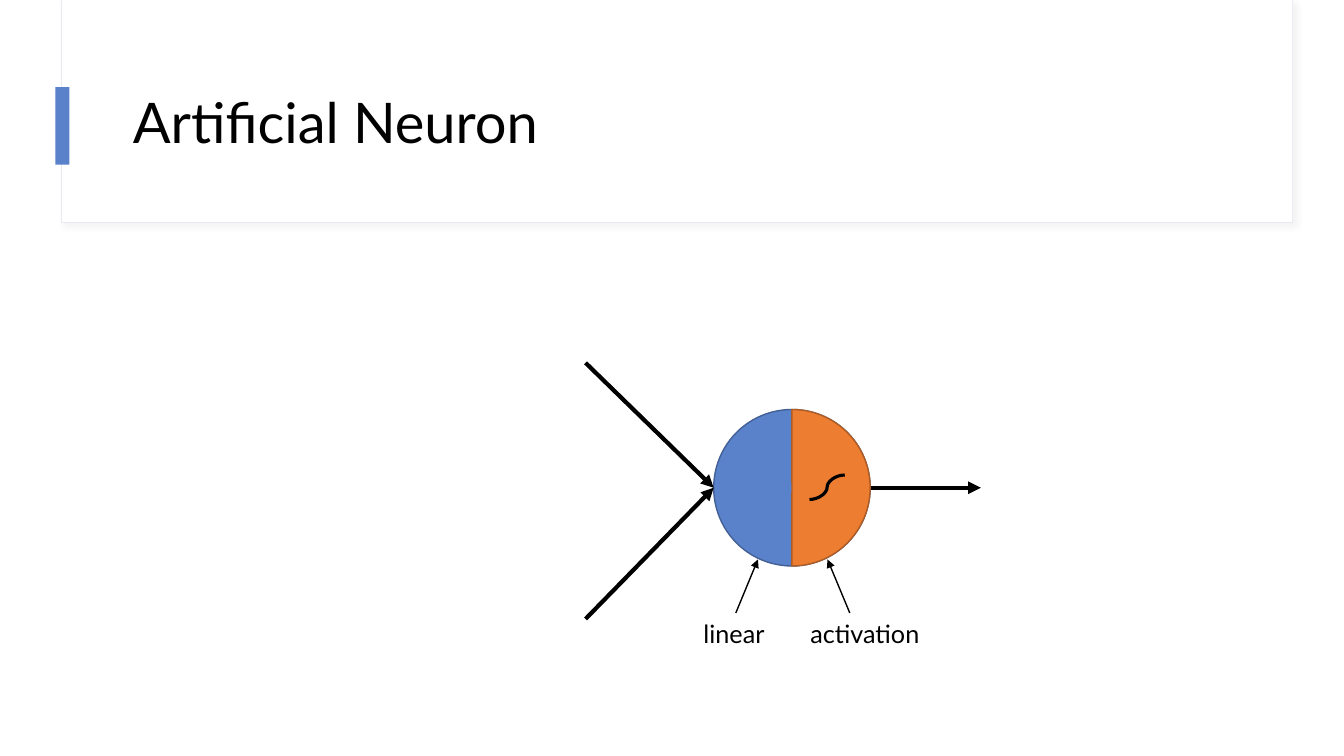
from lxml.etree import SubElement
from pptx import Presentation
from pptx.dml.color import RGBColor
from pptx.enum.shapes import MSO_CONNECTOR, MSO_SHAPE
from pptx.enum.text import MSO_ANCHOR, PP_ALIGN
from pptx.oxml import parse_xml
from pptx.oxml.ns import nsdecls, qn
from pptx.util import Pt

COLORS = {name: RGBColor.from_string(value) for name, value in {
    "white": "FFFFFF", "black": "000000", "frame": "E7EBF0",
    "blue": "5A82CB", "blue line": "436096",
    "orange": "ED7D31", "orange line": "AF5C24",
}.items()}
FONT = "Lato"

presentation = Presentation()
presentation.slide_width = Pt(960)
presentation.slide_height = Pt(540)
slide = presentation.slides.add_slide(presentation.slide_layouts[5])


def add_filled_shape(kind, box, fill, line=None, width=1):
    shape = slide.shapes.add_shape(kind, *[Pt(length) for length in box])
    shape.shadow.inherit = False
    shape.fill.solid()
    shape.fill.fore_color.rgb = COLORS[fill]
    if line:
        shape.line.color.rgb = COLORS[line]
        shape.line.width = Pt(width)
    else:
        shape.line.fill.background()
    return shape


def add_line(kind, start, end, width, arrow=True):
    connector = slide.shapes.add_connector(
        kind, *[Pt(length) for length in start + end])
    connector.line.color.rgb = COLORS["black"]
    connector.line.width = Pt(width)
    if arrow:
        SubElement(connector.line._get_or_add_ln(), qn("a:tailEnd"), type="triangle")
    SubElement(connector._element.spPr, qn("a:effectLst"))


# Title frame with a soft shadow, and the accent bar
frame = add_filled_shape(MSO_SHAPE.RECTANGLE, (43.9, 0, 879.1, 159.1),
                         "white", "frame", 0.75)
frame._element.spPr.find(qn("a:effectLst")).append(parse_xml(
    f'<a:outerShdw {nsdecls("a")} blurRad="{Pt(4)}" dist="{Pt(3)}" dir="2700000">'
    '<a:srgbClr val="D9D9D9"><a:alpha val="30000"/></a:srgbClr></a:outerShdw>'))
add_filled_shape(MSO_SHAPE.RECTANGLE, (44.6, 0, 878.4, 158.4), "white")
add_filled_shape(MSO_SHAPE.RECTANGLE, (39.6, 62.2, 10.1, 55.4), "blue")

# Title, brought in front of the frame
title = slide.shapes.title
title.left, title.top, title.width, title.height = Pt(87.8), Pt(43.2), Pt(800.6), Pt(92.9)
title.text_frame.text = "Artificial Neuron"
title.text_frame.vertical_anchor = MSO_ANCHOR.MIDDLE
paragraph = title.text_frame.paragraphs[0]
paragraph.alignment = PP_ALIGN.LEFT
paragraph.line_spacing = 0.9
paragraph.font.name = FONT
paragraph.font.size = Pt(40)
paragraph.font.color.rgb = COLORS["black"]
slide.shapes._spTree.append(title._element)

# Neuron: a blue disc, inputs and output, and an orange right half
left, top, diameter = 509.8, 292.5, 111.8
right, middle = left + diameter, top + diameter / 2
neuron_box = (left, top, diameter, diameter)
add_filled_shape(MSO_SHAPE.OVAL, neuron_box, "blue", "blue line")
for input_y in (259.2, 442.1):
    add_line(MSO_CONNECTOR.STRAIGHT, (418.3, input_y), (left, middle), 3)
add_line(MSO_CONNECTOR.STRAIGHT, (right, middle), (700.6, middle), 3)
activation_half = add_filled_shape(MSO_SHAPE.PIE, neuron_box, "orange", "orange line")
activation_half.adjustments[0] = 162
activation_half.adjustments[1] = 54

# Sigmoid curve
add_line(MSO_CONNECTOR.CURVE, (578.2, 356.8), (603.4, 339.3), 2.25, arrow=False)

# Labels and their pointers
for text, label_left, label_width, pointer_x, target_x in (
        ("linear", 495.4, 60.5, 525.6, 541.4),
        ("activation", 571.7, 94.3, 607, 591.1)):
    label = slide.shapes.add_textbox(Pt(label_left), Pt(437.8), Pt(label_width), Pt(29.1))
    label.text_frame.word_wrap = False
    label.text_frame.text = text
    paragraph = label.text_frame.paragraphs[0]
    paragraph.font.name = FONT
    paragraph.font.size = Pt(18)
    paragraph.font.color.rgb = COLORS["black"]
    add_line(MSO_CONNECTOR.STRAIGHT, (pointer_x, 437.8), (target_x, 399.6), 1)

presentation.save("out.pptx")
